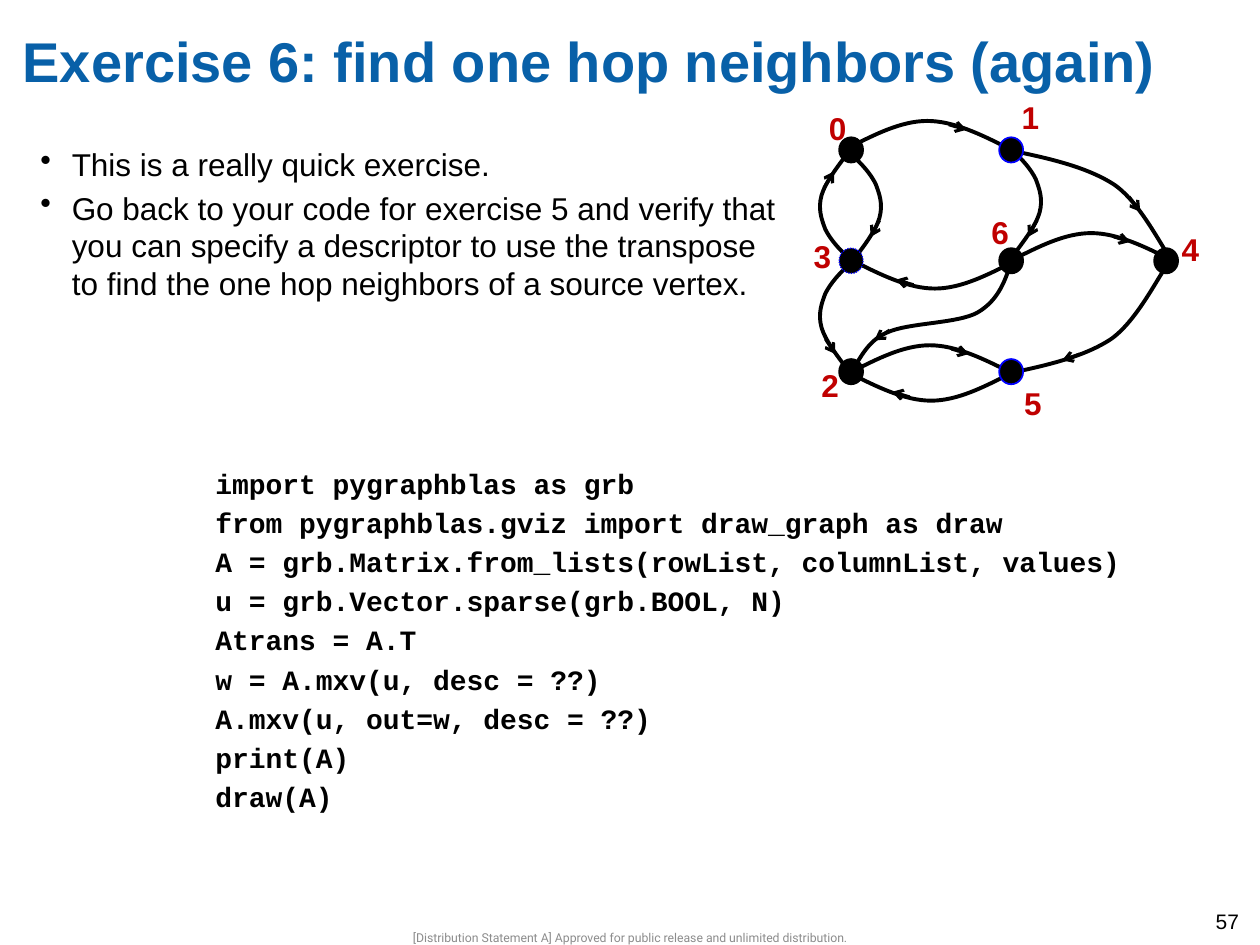
import dataclasses
import typing

import lxml.etree
import pptx
import pptx.dml.color
import pptx.enum.dml
import pptx.enum.shapes
import pptx.enum.text
import pptx.oxml
import pptx.util

SCALE = 9144  # EMU in one px, 100 px to the inch
BLACK, RED, BLUE, GREY, TITLE = "000000", "C00000", "0000FF", "8C8C8C", "0860A8"
TOP = pptx.enum.text.MSO_ANCHOR.TOP
MIDDLE = pptx.enum.text.MSO_ANCHOR.MIDDLE
LEFT = pptx.enum.text.PP_ALIGN.LEFT
CENTER = pptx.enum.text.PP_ALIGN.CENTER

Point = typing.Tuple[int, int]

# Control points, measured from the start of the edge
ARC = [(20, -10), (41, -21), (62, -21), (83, -21), (105, -10), (127, 1)]
BOW = [(8, 7), (15, 15), (19, 23), (22, 31), (25, 39), (22, 50),
       (19, 60), (10, 72), (0, 85)]
SWING = [(-8, 10), (-25, 46), (-46, 61), (-67, 75), (-97, 82), (-126, 88)]
WAVE = [(5, -5), (11, -23), (28, -30), (45, -38), (84, -37), (100, -46),
        (117, -56), (122, -72), (127, -87)]


@dataclasses.dataclass
class Node:
    name: str
    left: int
    top: int
    label: Point
    line: str = BLACK
    dotted: bool = False


@dataclasses.dataclass
class Edge:
    start: Point
    curve: typing.List[Point]
    arrow: typing.Tuple[int, int, int, int]
    flip: Point = (1, 1)


COLS, ROWS = (666, 793, 916), (109, 197, 285)
NODES = [
    Node("0", COLS[0], ROWS[0], (648, 82)),
    Node("1", COLS[1], ROWS[0], (801, 73), BLUE),
    Node("2", COLS[0], ROWS[2], (642, 286)),
    Node("3", COLS[0], ROWS[1], (636, 183), BLUE, True),
    Node("4", COLS[2], ROWS[1], (928, 178)),
    Node("5", COLS[1], ROWS[2], (803, 300), BLUE),
    Node("6", COLS[1], ROWS[1], (777, 164)),
]
EDGES = [
    Edge((674, 205), BOW, (654, 149, 662, 136), (-1, -1)),
    Edge((676, 123), BOW, (698, 175, 691, 188)),
    Edge((674, 117), ARC, (753, 99, 767, 103)),
    Edge((676, 294), WAVE, (706, 262, 694, 270)),
    Edge((804, 206), ARC, (884, 188, 897, 192)),
    Edge((676, 295), ARC, (755, 277, 769, 281)),
    Edge((801, 297), ARC, (722, 315, 708, 311), (-1, -1)),
    Edge((804, 208), ARC, (725, 226, 711, 222), (-1, -1)),
    Edge((674, 210), BOW, (655, 269, 663, 281), (-1, 1)),
    Edge((803, 119), BOW, (823, 175, 816, 188)),
    Edge((928, 208), SWING, (857, 281, 843, 286)),
    Edge((931, 208), SWING, (896, 156, 905, 168), (1, -1)),
]
POINTS = [
    "This is a really quick exercise.",
    "Go back to your code for exercise 5 and verify that you can specify a "
    "descriptor to use the transpose to find the one hop neighbors of a "
    "source vertex.",
]
CODE = [
    "import pygraphblas as grb",
    "from pygraphblas.gviz import draw_graph as draw",
    "A = grb.Matrix.from_lists(rowList, columnList, values)",
    "u = grb.Vector.sparse(grb.BOOL, N)",
    "Atrans = A.T",
    "w = A.mxv(u, desc = ??)",
    "A.mxv(u, out=w, desc = ??)",
    "print(A)",
    "draw(A)",
]


def px(*vals: int) -> typing.List[int]:
    return [val * SCALE for val in vals]


def color(code: str) -> pptx.dml.color.RGBColor:
    return pptx.dml.color.RGBColor.from_string(code)


def assign(item: typing.Any, vals: typing.Dict[str, typing.Any]) -> None:
    for key, val in vals.items():
        setattr(item, key, val)


def fill_text(shape: typing.Any, lines: typing.List[str], size: int,
              tint: str = BLACK, font: str = "Arial", bold: bool = False,
              wrap: bool = True, anchor: typing.Any = TOP,
              align: typing.Any = LEFT, gap: float = 0,
              pad: Point = (0, 0), bullet: bool = False) -> None:
    """Write lines; gap is in points, pad is the left and top inset in px."""
    frame = shape.text_frame
    left, top = px(*pad)
    assign(frame, {"margin_left": left, "margin_right": 0, "margin_top": top,
                   "margin_bottom": 0, "word_wrap": wrap,
                   "vertical_anchor": anchor,
                   "auto_size": pptx.enum.text.MSO_AUTO_SIZE.NONE})
    for num, line in enumerate(lines):
        para = frame.add_paragraph() if num else frame.paragraphs[0]
        para.text = line
        assign(para, {"alignment": align,
                      "space_before": pptx.util.Pt(gap if num else 0)})
        if bullet:
            props = para._p.get_or_add_pPr()
            props.set("marL", str(25 * SCALE))
            props.set("indent", str(-25 * SCALE))
            mark = lxml.etree.SubElement(props, pptx.oxml.ns.qn("a:buChar"))
            mark.set("char", "•")
        face = para.runs[0].font
        assign(face, {"name": font, "size": pptx.util.Pt(size), "bold": bold})
        face.color.rgb = color(tint)


def add_text(slide: typing.Any, box: typing.Tuple[int, ...],
             lines: typing.List[str], size: int, **style: typing.Any) -> None:
    fill_text(slide.shapes.add_textbox(*px(*box)), lines, size, **style)


def bend(shape: typing.Any) -> None:
    """Turn each three straight segments of a freeform into one cubic curve."""
    lines = list(shape._element.iter(pptx.oxml.ns.qn("a:lnTo")))
    for first in range(0, len(lines), 3):
        cubic = lxml.etree.Element(pptx.oxml.ns.qn("a:cubicBezTo"))
        lines[first].addprevious(cubic)
        for line in lines[first:first + 3]:
            cubic.append(line[0])
            line.getparent().remove(line)


def draw_edge(slide: typing.Any, edge: Edge) -> None:
    arrow = slide.shapes.add_connector(
        pptx.enum.shapes.MSO_CONNECTOR.STRAIGHT, *px(*edge.arrow))
    arrow.line.width = pptx.util.Pt(1.75)
    arrow.line.color.rgb = color(BLACK)
    tail = lxml.etree.SubElement(arrow.line._get_or_add_ln(),
                                 pptx.oxml.ns.qn("a:tailEnd"))
    tail.set("type", "arrow")
    lxml.etree.SubElement(arrow._element.spPr, pptx.oxml.ns.qn("a:effectLst"))

    (left, top), (flip_x, flip_y) = edge.start, edge.flip
    pen = slide.shapes.build_freeform(left, top, scale=SCALE)
    pen.add_line_segments([(left + x * flip_x, top + y * flip_y)
                           for x, y in edge.curve], close=False)
    curve = pen.convert_to_shape()
    bend(curve)
    curve.shadow.inherit = False
    curve.fill.background()
    curve.line.width = pptx.util.Pt(2.25)
    curve.line.color.rgb = color(BLACK)


def draw_node(slide: typing.Any, node: Node) -> None:
    dot = slide.shapes.add_shape(pptx.enum.shapes.MSO_SHAPE.OVAL,
                                 *px(node.left, node.top, 19, 20))
    dot.shadow.inherit = False
    dot.fill.solid()
    dot.fill.fore_color.rgb = color(BLACK)
    dot.line.color.rgb = color(node.line)
    dot.line.width = pptx.util.Pt(0.75 if node.dotted else 1)
    if node.dotted:
        dot.line.dash_style = pptx.enum.dml.MSO_LINE.ROUND_DOT
    add_text(slide, (*node.label, 27, 33), [node.name], 18,
             tint=RED, bold=True, wrap=False, pad=(10, 5))


def main() -> None:
    deck = pptx.Presentation()
    deck.slide_width, deck.slide_height = px(1000, 750)
    slide = deck.slides.add_slide(deck.slide_layouts[5])
    title = slide.shapes.title
    assign(title, dict(zip(("left", "top", "width", "height"),
                           px(18, 21, 982, 97))))
    fill_text(title, ["Exercise 6: find one hop neighbors (again)"], 32,
              tint=TITLE, bold=True)
    add_text(slide, (32, 115, 590, 208), POINTS, 18, gap=3.4, bullet=True)
    for edge in EDGES:
        draw_edge(slide, edge)
    for node in NODES:
        draw_node(slide, node)
    add_text(slide, (58, 326, 867, 370), CODE, 16, font="Courier New",
             bold=True, gap=3.2, pad=(113, 44))
    add_text(slide, (286, 738, 428, 12),
             ["[Distribution Statement A] Approved for public release and "
              "unlimited distribution."], 7, tint=GREY, font="Roboto",
             anchor=MIDDLE, align=CENTER)
    add_text(slide, (955, 716, 45, 33), ["57"], 12, pad=(10, 5))
    deck.save("out.pptx")


if __name__ == "__main__":
    main()
